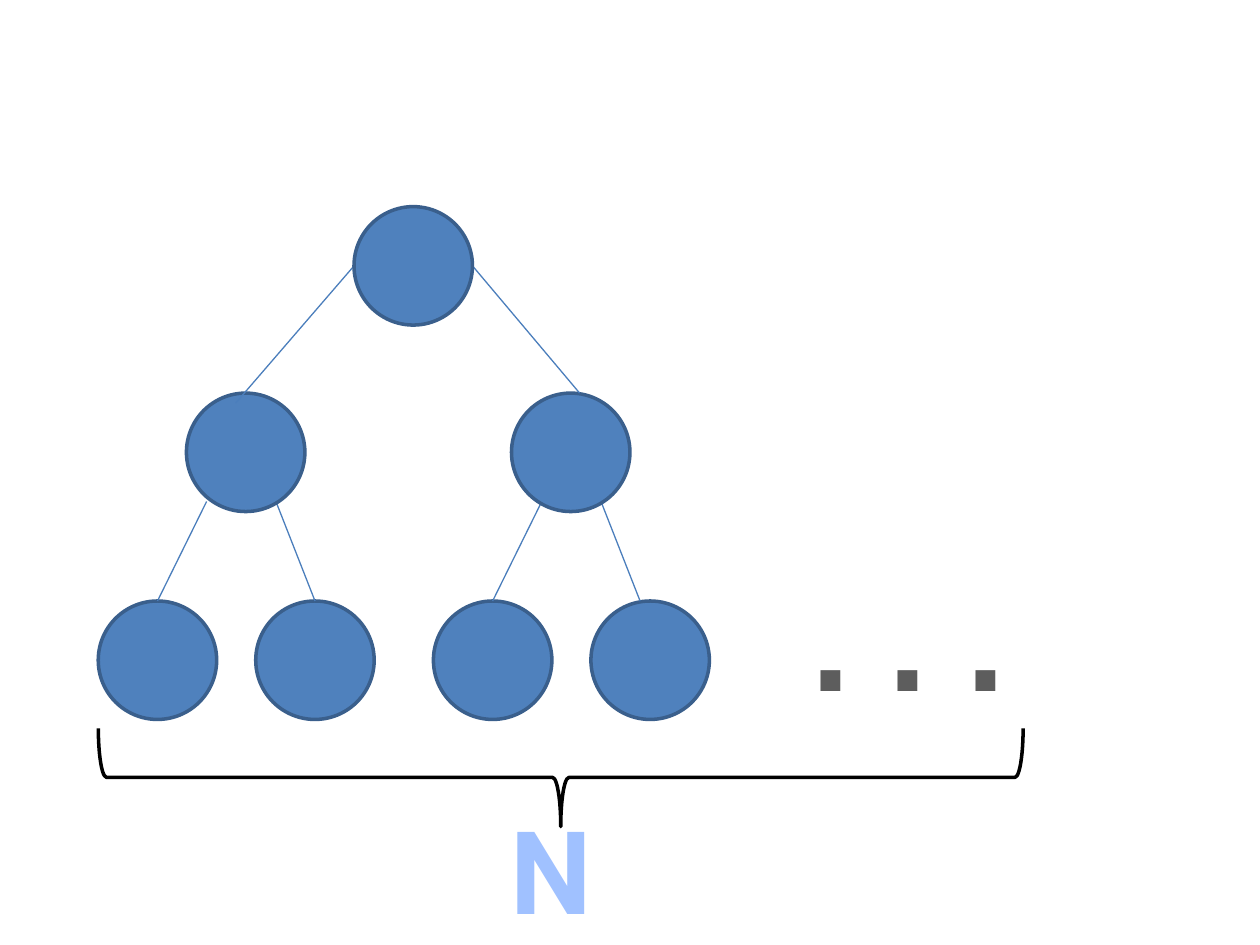
import pptx
import pptx.dml.color
import pptx.enum.shapes
import pptx.enum.text
import pptx.oxml.ns
import pptx.util
from lxml import etree

Inches = pptx.util.Inches
Pt = pptx.util.Pt
RGBColor = pptx.dml.color.RGBColor
SHAPE = pptx.enum.shapes.MSO_SHAPE

NODE_FILL = RGBColor(0x4F, 0x81, 0xBD)
NODE_EDGE = RGBColor(0x3A, 0x5F, 0x8C)
BRANCH = RGBColor(0x4B, 0x7E, 0xBC)
BRACE = RGBColor(0x00, 0x00, 0x00)
DOTS = RGBColor(0x5D, 0x5D, 0x5D)
COUNT = RGBColor(0xA0, 0xC1, 0xFF)

NODE_SIZE = 0.94
LEAF_TOP, MIDDLE_TOP, ROOT_TOP = 4.77, 3.12, 1.64
LEAF_LINK_END = 3.98
ROOT_LEFT = 2.81
ROOT_MIDDLE = ROOT_TOP + NODE_SIZE / 2


class TreeSlide:
    """Draws the parts of a tree diagram on one slide."""

    def __init__(self, deck):
        """Add a blank slide to the deck."""
        self.slide = deck.slides.add_slide(deck.slide_layouts[6])

    def outline(self, line, color, width):
        """Set the colour and width of a line."""
        line.color.rgb = color
        line.width = Pt(width)

    def node(self, left, top):
        """Draw one round tree node."""
        circle = self.slide.shapes.add_shape(
            SHAPE.OVAL, *map(Inches, (left, top, NODE_SIZE, NODE_SIZE)))
        circle.shadow.inherit = False
        circle.fill.solid()
        circle.fill.fore_color.rgb = NODE_FILL
        self.outline(circle.line, NODE_EDGE, 2)

    def branch(self, start, end):
        """Join two points with a thin line."""
        link = self.slide.shapes.add_connector(
            pptx.enum.shapes.MSO_CONNECTOR.STRAIGHT,
            *map(Inches, (*start, *end)))
        self.outline(link.line, BRANCH, 0.75)
        etree.SubElement(link._element.spPr,
                         pptx.oxml.ns.qn("a:effectLst"))

    def brace(self, left, top, width, height):
        """Draw a brace turned to open upwards."""
        bracket = self.slide.shapes.add_shape(
            SHAPE.RIGHT_BRACE, *map(Inches, (left, top, width, height)))
        bracket.rotation = 90
        bracket.shadow.inherit = False
        bracket.fill.background()
        self.outline(bracket.line, BRACE, 2)

    def label(self, text, box, wrap, **style):
        """Write a centred line of text in the given font style."""
        frame = self.slide.shapes.add_textbox(*map(Inches, box)).text_frame
        frame.word_wrap = wrap
        frame.auto_size = pptx.enum.text.MSO_AUTO_SIZE.SHAPE_TO_FIT_TEXT
        paragraph = frame.paragraphs[0]
        paragraph.alignment = pptx.enum.text.PP_ALIGN.CENTER
        run = paragraph.add_run()
        run.text = text
        run.font.color.rgb = style.pop("color")
        for name, value in style.items():
            setattr(run.font, name, value)


def build():
    """Build the tree slide and save it."""
    deck = pptx.Presentation()
    deck.slide_width, deck.slide_height = Inches(10), Inches(7.5)
    tree = TreeSlide(deck)

    for left in (0.78, 2.03, 3.44, 4.69):
        tree.node(left, LEAF_TOP)
    for leaf_x, parent_x in ((1.25, 1.64), (2.5, 2.19),
                             (3.91, 4.3), (5.08, 4.77)):
        tree.branch((leaf_x, LEAF_TOP), (parent_x, LEAF_LINK_END))
    tree.label(". . .", (6.33, 4.33, 1.76, 1.45), False,
               name="Arial", size=Pt(80), bold=True, color=DOTS)

    for left in (1.48, 4.06):
        tree.node(left, MIDDLE_TOP)
    tree.branch((1.87, 3.2), (ROOT_LEFT, ROOT_MIDDLE))
    tree.branch((4.6, MIDDLE_TOP), (ROOT_LEFT + NODE_SIZE, ROOT_MIDDLE))
    tree.node(ROOT_LEFT, ROOT_TOP)

    tree.brace(4.06, 2.5, 0.78, 7.34)
    tree.label("N", (3.83, 6.29, 1.09, 1.21), True,
               name="Roboto", size=Pt(66), bold=True, color=COUNT)
    deck.save("out.pptx")


build()
